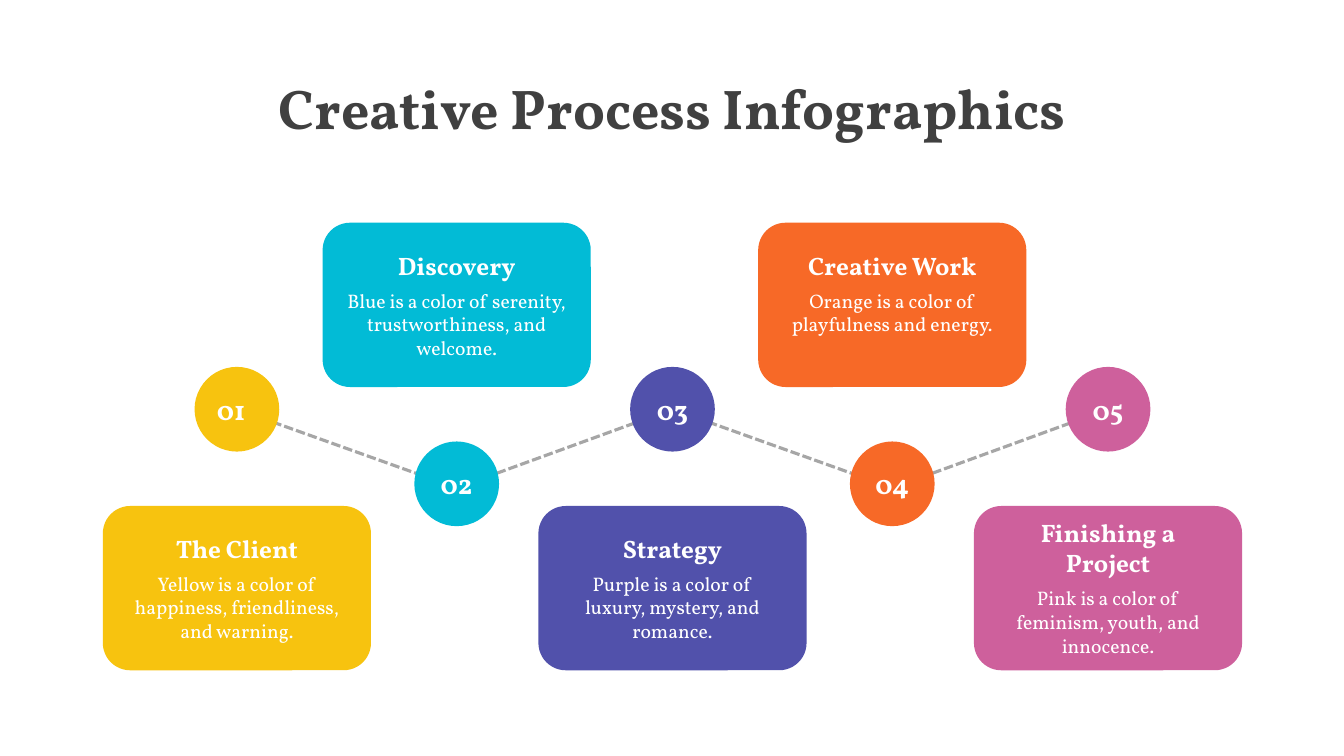
from collections import namedtuple

from pptx import Presentation
from pptx.dml.color import RGBColor
from pptx.enum.dml import MSO_LINE
from pptx.enum.shapes import MSO_SHAPE
from pptx.enum.text import MSO_ANCHOR, PP_ALIGN
from pptx.util import Inches, Pt

ROUND_RECT, OVAL = MSO_SHAPE.ROUNDED_RECTANGLE, MSO_SHAPE.OVAL
LEFT, CENTER, MIDDLE = PP_ALIGN.LEFT, PP_ALIGN.CENTER, MSO_ANCHOR.MIDDLE
DASH = MSO_LINE.SQUARE_DOT

FONT = "Vollkorn"
WHITE = RGBColor(0xFF, 0xFF, 0xFF)
DARK = RGBColor(0x40, 0x40, 0x40)
GRAY = RGBColor(0xA6, 0xA6, 0xA6)
YELLOW = RGBColor(0xF7, 0xC3, 0x0F)
CYAN = RGBColor(0x02, 0xBB, 0xD6)
PURPLE = RGBColor(0x51, 0x51, 0xAB)
ORANGE = RGBColor(0xF7, 0x69, 0x27)
PINK = RGBColor(0xCE, 0x60, 0x9C)

SLIDE_W, SLIDE_H = 13.33, 7.5
CARD_W, CARD_H = 2.66, 1.63
UPPER_CARD_TOP, LOWER_CARD_TOP = 2.21, 5.02
CIRCLE = 0.84
HIGH_CIRCLE_Y, LOW_CIRCLE_Y = 4.06, 4.8
PATH_TOP, PATH_BOTTOM = 4.06, 4.84

Step = namedtuple("Step", "center color title body text_w text_h")
STEPS = [
    Step(2.35, YELLOW, "The Client",
         "Yellow is a color of happiness, friendliness, and warning.", 2.42, 1.19),
    Step(4.53, CYAN, "Discovery",
         "Blue is a color of serenity, trustworthiness, and welcome.", 2.66, 1.19),
    Step(6.67, PURPLE, "Strategy",
         "Purple is a color of luxury, mystery, and romance.", 2.16, 1.19),
    Step(8.85, ORANGE, "Creative Work",
         "Orange is a color of playfulness and energy.", 2.22, 1.19),
    Step(10.99, PINK, "Finishing a Project",
         "Pink is a color of feminism, youth, and innocence.", 2.37, 1.5),
]


def style_paragraph(p, text, size, color=WHITE, bold=True, align=CENTER):
    p.text = text
    p.alignment = align
    p.font.name = FONT
    p.font.size = Pt(size)
    p.font.bold = bold
    p.font.color.rgb = color


def add_text_box(slide, left, top, width, height):
    tf = slide.shapes.add_textbox(
        Inches(left), Inches(top), Inches(width), Inches(height)).text_frame
    tf.word_wrap = True
    return tf


def add_filled_shape(slide, kind, left, top, width, height, color):
    sp = slide.shapes.add_shape(
        kind, Inches(left), Inches(top), Inches(width), Inches(height))
    sp.shadow.inherit = False
    sp.fill.solid()
    sp.fill.fore_color.rgb = color
    sp.line.fill.background()
    return sp


def add_title(slide, left, top, width, height):
    tf = add_text_box(slide, left, top, width, height)
    style_paragraph(tf.paragraphs[0], "Creative Process Infographics", 40, DARK)


def add_dashed_path(slide, points):
    start, *rest = [(Inches(x), Inches(y)) for x, y in points]
    builder = slide.shapes.build_freeform(*start)
    builder.add_line_segments(rest, close=False)
    sp = builder.convert_to_shape()
    sp.shadow.inherit = False
    sp.fill.background()
    sp.line.color.rgb = GRAY
    sp.line.width = Pt(2.25)
    sp.line.dash_style = DASH


def add_card(slide, step, left, top, width, height):
    """Draw a step's card with its text block centred in it."""
    add_filled_shape(slide, ROUND_RECT, left, top, width, height, step.color)
    tf = add_text_box(slide, left + (width - step.text_w) / 2,
                      top + (height - step.text_h) / 2, step.text_w, step.text_h)
    style_paragraph(tf.paragraphs[0], step.title, 18)
    body = tf.add_paragraph()
    style_paragraph(body, step.body, 14, bold=False)
    body.space_before = Pt(6)


def add_number_circle(slide, number, color, left, top, size):
    sp = add_filled_shape(slide, OVAL, left, top, size, size, color)
    tf = sp.text_frame
    tf.margin_left = tf.margin_right = Inches(0.1)
    tf.margin_top = tf.margin_bottom = Inches(0.1)
    tf.vertical_anchor = MIDDLE
    style_paragraph(tf.paragraphs[0], f"{number:02}", 20,
                    align=LEFT if number == 1 else CENTER)


def add_process(slide):
    """Draw the zigzag of steps: odd ones hang below the path, even ones above."""
    points = [(step.center, PATH_BOTTOM if i % 2 else PATH_TOP)
              for i, step in enumerate(STEPS)]
    for first in (0, 2):
        add_dashed_path(slide, points[first:first + 3])
    for i, step in enumerate(STEPS):
        card_top, circle_y = ((UPPER_CARD_TOP, LOW_CIRCLE_Y) if i % 2
                              else (LOWER_CARD_TOP, HIGH_CIRCLE_Y))
        add_card(slide, step, step.center - CARD_W / 2, card_top, CARD_W, CARD_H)
        add_number_circle(slide, i + 1, step.color, step.center - CIRCLE / 2,
                          circle_y - CIRCLE / 2, CIRCLE)


def main():
    prs = Presentation()
    prs.slide_width, prs.slide_height = Inches(SLIDE_W), Inches(SLIDE_H)
    slide = prs.slides.add_slide(prs.slide_layouts[6])
    add_title(slide, 0, 0.68, SLIDE_W, 0.77)
    add_process(slide)
    prs.save("out.pptx")


if __name__ == "__main__":
    main()
